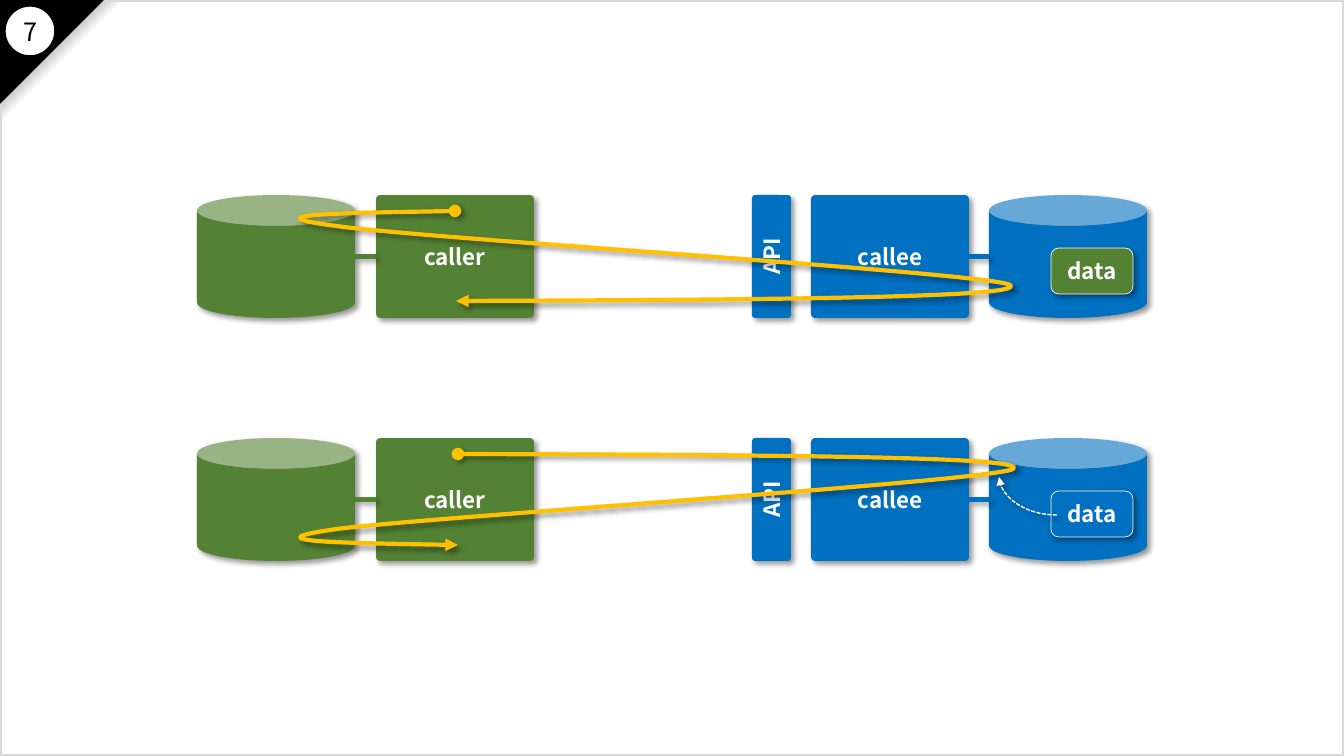
import pptx
import pptx.util
import pptx.dml.color
import pptx.enum.dml
import pptx.enum.shapes
import pptx.enum.text
import pptx.oxml
import pptx.oxml.ns

GREEN, BLUE, GOLD = "548235", "0070C0", "FFC000"
WHITE, BLACK, GREY = "FFFFFF", "000000", "D9D9D9"
FONT = "Noto Sans CJK JP"
WIDE, HIGH = 1344, 756
SIZE, TALL, SLIM, GAP = 158, 123, 39, 20

# Each row: top, fill of its data tag
ROWS = [(195, GREEN), (438, BLUE)]
STORE, CALLER = 197, 376
API, CALLEE, BASE = 752, 811, 989

# Each flow: box (left, top, right, bottom), start, curves of three points
FLOWS = [
    ((300, 211, 1011, 301), (455, 211), [
        [(349, 213), (243, 214), (336, 226)],
        [(428, 239), (990, 273), (1010, 285)],
        [(1029, 298), (743, 300), (456, 301)]]),
    ((301, 454, 1014, 545), (458, 454), [
        [(745, 455), (1033, 456), (1013, 469)],
        [(993, 481), (429, 517), (337, 529)],
        [(244, 542), (351, 543), (458, 545)]]),
]
FADE = [(0, WHITE), (50, WHITE), (70, "808080"), (100, BLACK)]

KIND = pptx.enum.shapes.MSO_SHAPE
LINK = pptx.enum.shapes.MSO_CONNECTOR
qn = pptx.oxml.ns.qn


def px(n):
    return pptx.util.Emu(round(n * 914400 / 100.8))


def color(code):
    return pptx.dml.color.RGBColor.from_string(code)


def node(body):
    """Parse one DrawingML element given without its namespace."""
    tag, rest = body[1:].split(" ", 1)
    return pptx.oxml.parse_xml(
        f'<{tag} xmlns:a="{pptx.oxml.ns.nsdecls("a").split(chr(34))[1]}" {rest}')


def shade(item):
    """Give a soft drop shadow to a shape or connector."""
    props = item.element.spPr
    for old in props.findall(qn("a:effectLst")):
        props.remove(old)
    props.append(node(
        '<a:effectLst ><a:outerShdw blurRad="50800" dist="38100" dir="2700000" '
        'algn="tl" rotWithShape="0"><a:srgbClr val="000000"><a:alpha val="40000"/>'
        '</a:srgbClr></a:outerShdw></a:effectLst>'))


def stroke(item, code, width, head=None, tail=None, dash=None):
    item.line.color.rgb = color(code)
    item.line.width = pptx.util.Pt(width)
    if dash:
        item.line.dash_style = dash
    edge = item.element.spPr.find(qn("a:ln"))
    for tag, kind in (("headEnd", head), ("tailEnd", tail)):
        if kind:
            edge.append(node(f'<a:{tag} type="{kind}"/>'))


def write(frame, text, size, code, bold):
    para = frame.paragraphs[0]
    para.alignment = pptx.enum.text.PP_ALIGN.CENTER
    run = para.add_run()
    run.text = text
    run.font.name, run.font.size = FONT, pptx.util.Pt(size)
    run.font.bold, run.font.color.rgb = bold, color(code)


def shape(kind, x, y, w, h, fill=None, line=None, width=1):
    item = slide.shapes.add_shape(kind, px(x), px(y), px(w), px(h))
    item.shadow.inherit = False
    if fill:
        item.fill.solid()
        item.fill.fore_color.rgb = color(fill)
    else:
        item.fill.background()
    if line:
        stroke(item, line, width)
    else:
        item.line.fill.background()
    return item


def card(x, y, w, h, fill, text, curve=None, line=None):
    item = shape(KIND.ROUNDED_RECTANGLE, x, y, w, h, fill, line, 0.5)
    if curve:
        item.adjustments[0] = curve
    item.text_frame.vertical_anchor = pptx.enum.text.MSO_ANCHOR.MIDDLE
    write(item.text_frame, text, 16, WHITE, True)
    shade(item)
    return item


def wire(x1, y1, x2, y2, code):
    item = slide.shapes.add_connector(
        LINK.STRAIGHT, px(x1), px(y1), px(x2), px(y2))
    stroke(item, code, 3)
    shade(item)
    return item


def flow(box, start, curves):
    """Draw a curved arrow; the box fixes its frame, the curves its path."""
    left, top, right, low = box
    pen = slide.shapes.build_freeform(px(left), px(top))
    pen.add_line_segments([(px(right), px(low))], close=False)
    item = pen.convert_to_shape()
    path = next(item.element.iter(qn("a:path")))
    for old in list(path):
        path.remove(old)
    for tag, spots in [("moveTo", [start])] + [("cubicBezTo", c) for c in curves]:
        marks = "".join(
            f'<a:pt x="{px(x - left)}" y="{px(y - top)}"/>' for x, y in spots)
        path.append(node(f"<a:{tag} >{marks}</a:{tag}>"))
    item.fill.background()
    stroke(item, GOLD, 3, "oval", "triangle")
    shade(item)


def corner(side, fill=None, line=None):
    item = shape(KIND.RIGHT_TRIANGLE, 0, 0, side, side, fill, line)
    item.rotation = 90
    return item


deck = pptx.Presentation()
deck.slide_width, deck.slide_height = px(WIDE), px(HIGH)
slide = deck.slides.add_slide(deck.slide_layouts[6])

# Corner glow and slide frame
glow = corner(124)
stops = "".join(f'<a:gs pos="{at * 1000}"><a:srgbClr val="{code}"/></a:gs>'
                for at, code in FADE)
blank = glow.element.spPr.find(qn("a:noFill"))
blank.addnext(node(f'<a:gradFill rotWithShape="1"><a:gsLst>{stops}</a:gsLst>'
                   '<a:lin ang="8100000" scaled="0"/></a:gradFill>'))
glow.element.spPr.remove(blank)
shape(KIND.RECTANGLE, 0, 0, WIDE, HIGH, None, GREY, 3)

# Caller and callee systems
for top, tint in ROWS:
    mid = top + TALL / 2
    for x, fill in ((STORE, GREEN), (BASE, BLUE)):
        shade(shape(KIND.CAN, x, top, SIZE, TALL, fill))
    caller = card(CALLER, top, SIZE, TALL, GREEN, "caller", 0.034)
    callee = card(CALLEE, top, SIZE, TALL, BLUE, "callee", 0.034)
    api = card(API, top, SLIM, TALL, BLUE, "API", 0.082)
    api.text_frame._txBody.bodyPr.set("vert", "vert270")
    wire(STORE + SIZE, mid, CALLER, mid, GREEN).end_connect(caller, 1)
    wire(CALLEE + SIZE, mid, BASE, mid, BLUE).begin_connect(callee, 3)

# Page number badge
corner(103, BLACK, BLACK)
shape(KIND.OVAL, 5, 6, 50, 50, WHITE, BLACK)

for box, start, curves in FLOWS:
    flow(box, start, curves)
for top, tint in ROWS:
    card(1051, top + 53, 82, 46, tint, "data", None, WHITE)

# Dashed arrow from the data tag, turned to run left and then up
hop = slide.shapes.add_connector(LINK.CURVE, px(999), px(477), px(1057), px(515))
hop.element.spPr.find(qn("a:prstGeom")).set("prst", "curvedConnector2")
hop.element.spPr.find(qn("a:xfrm")).set("rot", "10800000")
stroke(hop, WHITE, 1, None, "triangle", pptx.enum.dml.MSO_LINE.SQUARE_DOT)
shade(hop)

page = slide.shapes.add_textbox(px(12), px(11), px(36), px(40)).text_frame
page.word_wrap = False
page.auto_size = pptx.enum.text.MSO_AUTO_SIZE.SHAPE_TO_FIT_TEXT
write(page, "7", 18, BLACK, False)

deck.save("out.pptx")
